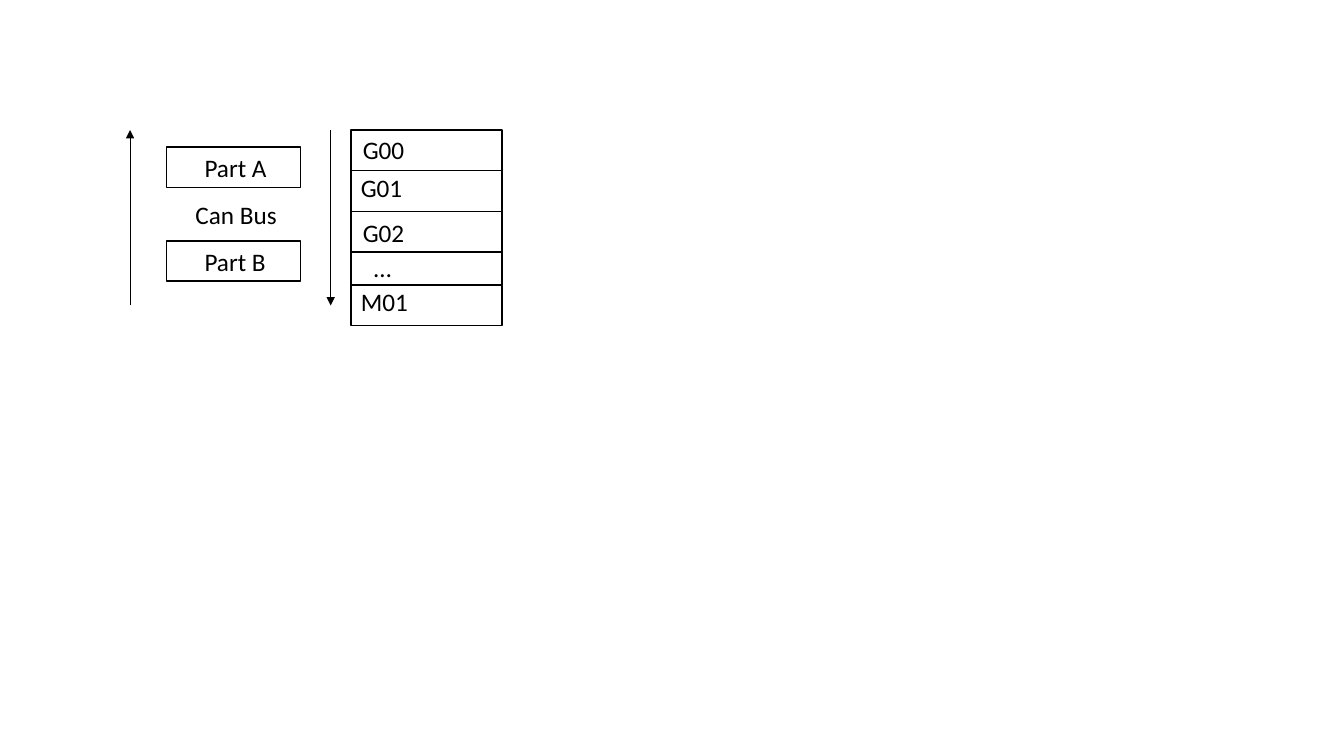
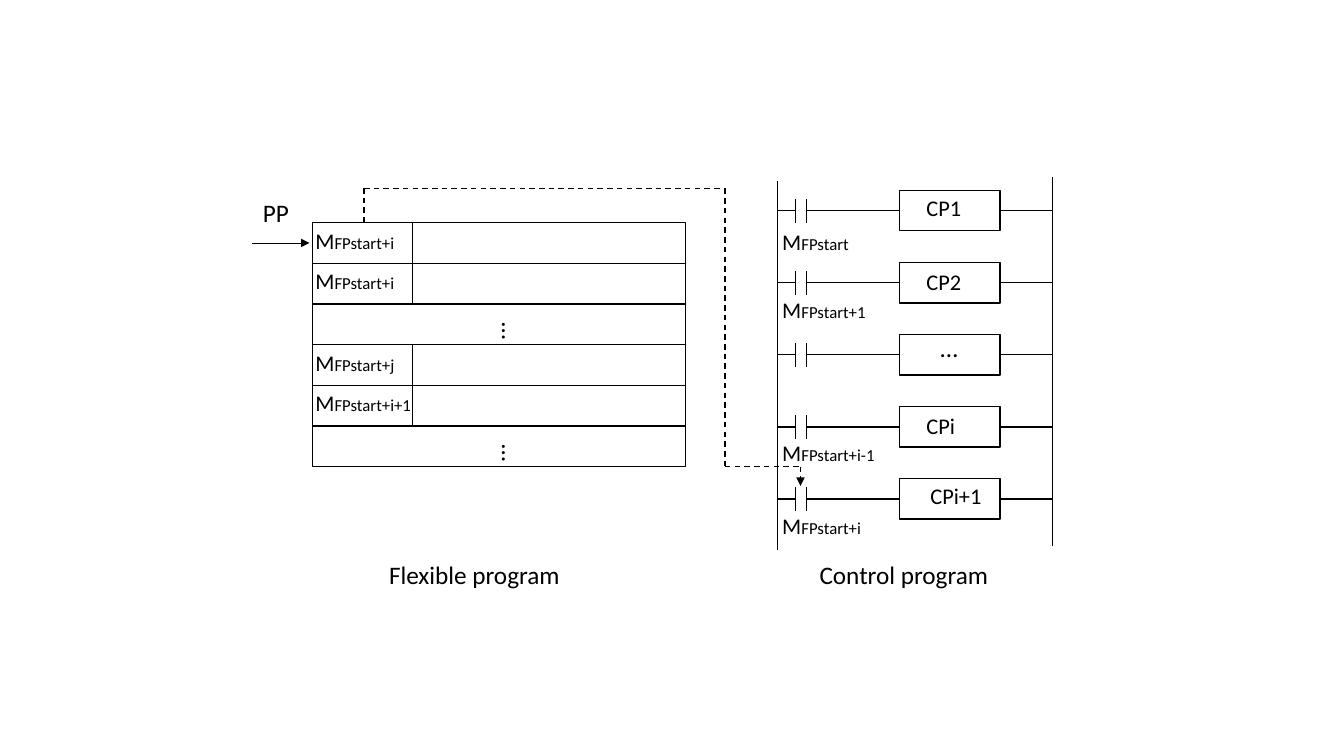
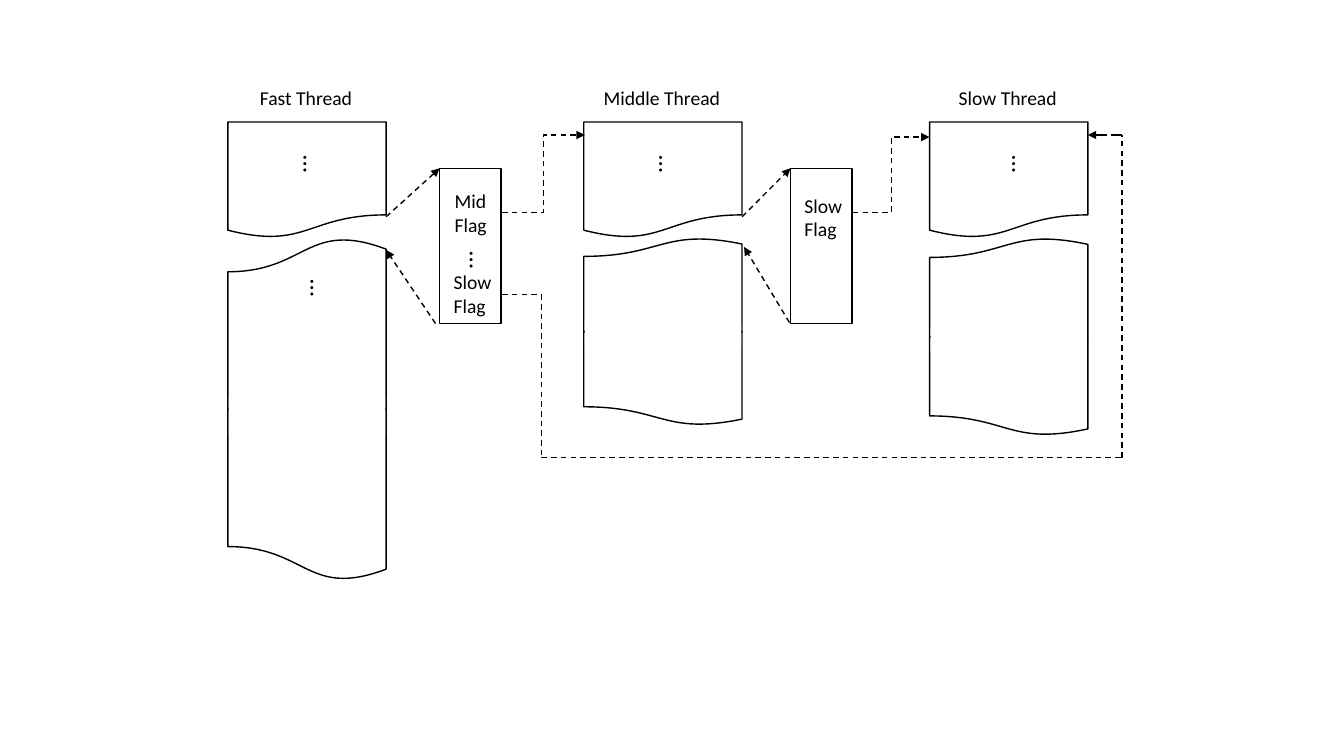
from itertools import pairwise

from lxml import etree
from pptx import Presentation
from pptx.dml.color import RGBColor
from pptx.enum.dml import MSO_LINE
from pptx.enum.shapes import MSO_CONNECTOR, MSO_SHAPE
from pptx.enum.text import MSO_AUTO_SIZE, PP_ALIGN
from pptx.oxml.ns import qn
from pptx.util import Inches, Pt

BLACK = RGBColor(0x00, 0x00, 0x00)
WHITE = RGBColor(0xFF, 0xFF, 0xFF)
FONT = "Calibri"
RECTANGLE = MSO_SHAPE.RECTANGLE
DOCUMENT = MSO_SHAPE.FLOWCHART_DOCUMENT
STRAIGHT = MSO_CONNECTOR.STRAIGHT
ELBOW = MSO_CONNECTOR.ELBOW
DASH = MSO_LINE.DASH
LONG_DASH = MSO_LINE.LONG_DASH
FIT_TEXT = MSO_AUTO_SIZE.SHAPE_TO_FIT_TEXT
CENTER = PP_ALIGN.CENTER


class Diagram:
    """Black line drawings on white slides."""

    def __init__(self):
        self.presentation = Presentation()
        self.presentation.slide_width = Inches(13.33)
        self.presentation.slide_height = Inches(7.5)
        self.slide = None

    def new_slide(self):
        layout = self.presentation.slide_layouts[6]
        self.slide = self.presentation.slides.add_slide(layout)

    def box(self, left, top, width, height, kind=RECTANGLE, fill=None,
            outline=True, flips=()):
        shape = self.slide.shapes.add_shape(
            kind, Inches(left), Inches(top), Inches(width), Inches(height))
        shape.shadow.inherit = False
        if fill is None:
            shape.fill.background()
        else:
            shape.fill.solid()
            shape.fill.fore_color.rgb = fill
        if outline:
            shape.line.color.rgb = BLACK
            shape.line.width = Pt(1)
        else:
            shape.line.fill.background()
        for flip in flips:
            shape.element.spPr.find(qn("a:xfrm")).set(flip, "1")

    def line(self, start, end, weight=1, dash=None, arrow=False, kind=STRAIGHT):
        connector = self.slide.shapes.add_connector(
            kind, *(Inches(value) for value in (*start, *end)))
        connector.line.color.rgb = BLACK
        connector.line.width = Pt(weight)
        if dash is not None:
            connector.line.dash_style = dash
        properties = connector.element.spPr
        if arrow:
            outline = properties.find(qn("a:ln"))
            etree.SubElement(outline, qn("a:tailEnd"), type="triangle")
        etree.SubElement(properties, qn("a:effectLst"))

    def dashed_route(self, *points):
        for start, end in pairwise(points):
            self.line(start, end, dash=DASH)

    def text(self, left, top, width, height, *lines, size=18, wrap=False,
             align=None):
        """Write one paragraph per line and return the text frame."""
        shape = self.slide.shapes.add_textbox(
            Inches(left), Inches(top), Inches(width), Inches(height))
        frame = shape.text_frame
        frame.word_wrap = wrap
        frame.auto_size = FIT_TEXT
        frame.text = "\n".join(lines)
        for paragraph in frame.paragraphs:
            paragraph.font.name = FONT
            paragraph.font.size = Pt(size)
            paragraph.font.color.rgb = BLACK
            paragraph.alignment = align
        return frame

    def marker(self, left, top, suffix):
        """A large M followed by a smaller suffix."""
        frame = self.text(left, top, 1.25, 0.37, "M", size=16)
        run = frame.paragraphs[0].add_run()
        run.text = suffix
        run.font.size = Pt(12)

    def vertical_dots(self, left, top):
        frame = self.text(left, top, 0.5, 0.29, "…", wrap=True)
        frame._txBody.bodyPr.set("vert", "eaVert")


def bus_slide(diagram):
    diagram.new_slide()

    # Parts joined by the bus
    for name, top in (("Part A", 1.46), ("Part B", 2.39)):
        diagram.box(1.65, top, 1.33, 0.4)
        diagram.text(1.93, top, 0.82, 0.4, name)
    diagram.text(1.84, 1.93, 1.02, 0.4, "Can Bus")
    diagram.line((1.29, 3.03), (1.29, 1.29), weight=0.5, arrow=True)
    diagram.line((3.28, 1.29), (3.28, 3.03), weight=0.5, arrow=True)

    # Stack of codes: name, cell top and height, text left and top
    for name, top, height, text_left, text_top in (
            ("G00", 1.29, 0.4, 3.5, 1.28), ("G01", 1.69, 0.41, 3.48, 1.66),
            ("G02", 2.1, 0.4, 3.5, 2.11), ("…", 2.5, 0.33, 3.61, 2.45),
            ("M01", 2.83, 0.4, 3.48, 2.79)):
        diagram.box(3.48, top, 1.5, height)
        diagram.text(text_left, text_top, 1.5, 0.4, name)


def program_slide(diagram):
    diagram.new_slide()

    # Flexible program: rows without a suffix hold dots
    first_row, row_height = 2.21, 2.42 / 6
    suffixes = ("FPstart+i", "FPstart+i", None, "FPstart+j", "FPstart+i+1", None)
    for index, suffix in enumerate(suffixes):
        top = first_row + index * row_height
        diagram.box(3.1, top, 3.7, row_height)
        if suffix:
            diagram.line((4.09, top), (4.09, top + row_height))
            diagram.marker(3.03, top - 0.01, suffix)
        else:
            diagram.vertical_dots(4.78, top + 0.08)
    diagram.text(3.76, 5.5, 1.91, 0.4, "Flexible program")
    diagram.text(2.51, 1.91, 0.46, 0.4, "PP")
    diagram.line((2.5, 2.41), (3.07, 2.41), weight=0.5, arrow=True)

    # Control program: ladder rails and rungs
    left_rail, right_rail = 7.71, 10.44
    diagram.line((left_rail, 1.8), (left_rail, 5.46))
    diagram.line((right_rail, 1.76), (right_rail, 5.42))
    first_rung, rung_gap = 2.09, 2.86 / 4
    # Block name, its left, top and size, then contact suffix and its offset
    rungs = (("CP1", 9.09, 1.88, 16, "FPstart", 0.12),
             ("CP2", 9.09, 2.61, 16, "FPstart+1", 0.08),
             ("…", 9.23, 3.25, 18, None, 0),
             ("CPi", 9.09, 4.04, 16, "FPstart+i-1", 0.07),
             ("CPi+1", 9.13, 4.73, 16, "FPstart+i", 0.08))
    for index, (name, left, top, size, suffix, offset) in enumerate(rungs):
        rung = first_rung + index * rung_gap
        for contact in (7.89, 8):
            diagram.line((contact, rung - 0.12), (contact, rung + 0.12))
        for start, end in ((left_rail, 7.89), (8, 8.92), (9.92, right_rail)):
            diagram.line((start, rung), (end, rung))
        diagram.box(8.92, rung - 0.2, 1, 0.4)
        diagram.text(left, top, 0.8, 0.4, name, size=size)
        if suffix:
            diagram.marker(7.66, rung + offset, suffix)
    diagram.text(8.03, 5.5, 1.89, 0.4, "Control program")

    # Dashed link from the first row to the last contact
    diagram.dashed_route((3.61, 2.21), (3.61, 1.87), (7.19, 1.87),
                         (7.19, 4.63), (7.94, 4.63))
    diagram.line((7.94, 4.63), (7.94, 4.82), dash=DASH, arrow=True)


def thread_slide(diagram):
    diagram.new_slide()

    # Threads: a torn sheet above, two mirrored halves with a hidden seam below
    width, lower_top = 1.57, 2.36
    for name, left, half in (("Fast Thread", 2.26, 1.7),
                             ("Middle Thread", 5.79, 0.93),
                             ("Slow Thread", 9.22, 0.98)):
        seam = lower_top + half
        diagram.text(left - 0.01, 0.8, width, 0.34, name, size=14, wrap=True,
                     align=CENTER)
        diagram.box(left, 1.21, width, 1.15, DOCUMENT, WHITE)
        diagram.box(left, seam, width, half, DOCUMENT, WHITE, flips=("flipH",))
        diagram.box(left, lower_top, width, half, DOCUMENT, WHITE,
                    flips=("flipH", "flipV"))
        diagram.box(left + 0.01, seam - 0.08 * half, width - 0.02, 0.24 * half,
                    fill=WHITE, outline=False)

    # Flags
    for left in (4.36, 7.84):
        diagram.box(left, 1.67, 0.61, 1.54, fill=WHITE)
    for speed, left, top in (("Mid", 4.41, 1.83), ("Slow", 4.4, 2.63),
                             ("Slow", 7.88, 1.87)):
        diagram.text(left, top, 0.58, 0.57, speed, "Flag", size=14)
    for left, top in ((2.81, 1.44), (2.88, 2.67), (4.46, 2.4),
                      (6.34, 1.44), (9.84, 1.44)):
        diagram.vertical_dots(left, top)

    # Arrows between threads and flags
    for start, end in (((3.83, 2.15), (4.36, 1.67)), ((4.32, 3.21), (3.83, 2.48)),
                       ((7.36, 2.15), (7.84, 1.67)), ((7.83, 3.2), (7.38, 2.45))):
        diagram.line(start, end, dash=DASH, arrow=True)
    for start, end in (((4.98, 2.11), (5.8, 1.34)), ((8.46, 2.11), (9.22, 1.36))):
        diagram.line(start, end, dash=DASH, arrow=True, kind=ELBOW)

    # Route from the lower flag around to the slow thread
    diagram.dashed_route((4.98, 2.92), (5.37, 2.92), (5.37, 4.54),
                         (11.13, 4.54), (11.13, 1.34))
    diagram.line((11.13, 1.34), (10.79, 1.34), dash=LONG_DASH, arrow=True)


def main():
    diagram = Diagram()
    bus_slide(diagram)
    program_slide(diagram)
    thread_slide(diagram)
    diagram.presentation.save("out.pptx")


if __name__ == "__main__":
    main()
